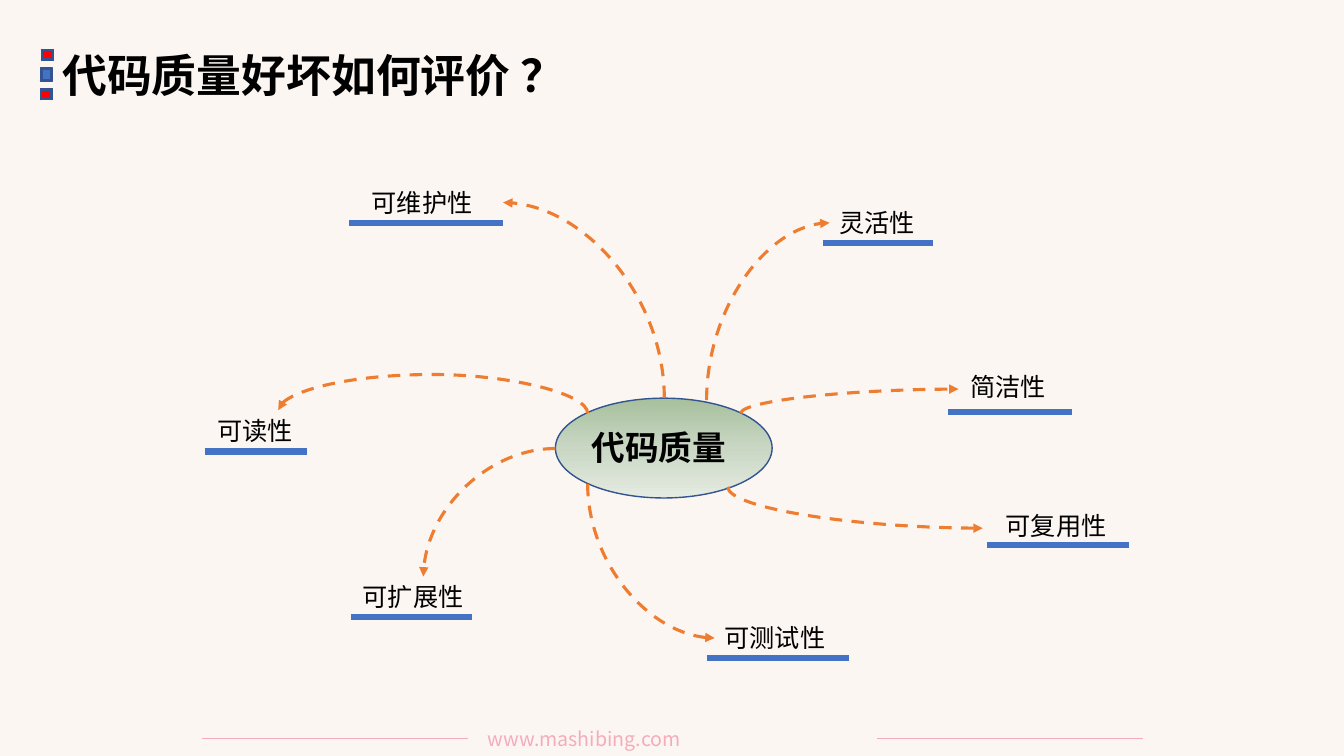
from copy import deepcopy

from pptx import Presentation
from pptx.dml.color import RGBColor
from pptx.enum.dml import MSO_LINE
from pptx.enum.shapes import MSO_CONNECTOR as CONN, MSO_SHAPE as SHAPE
from pptx.enum.text import PP_ALIGN as ALIGN
from pptx.oxml.ns import qn
from pptx.util import Inches, Pt
from lxml.etree import SubElement

COLS, ROWS = 133.33, 75  # square grid cells, a tenth of an inch each
BLACK, BLUE, NAVY, ORANGE, PINK, RED = (
    "000000", "4472C4", "325491", "ED7D31", "F4ACBA", "FF0000")

# text, text column, text row, underline start, underline end, underline drop
LABELS = [
    ("可维护性", 35.9, 18.1, 34.6, 49.9, 4),
    ("可读性", 20.6, 40.7, 20.3, 30.5, 4.1),
    ("可复用性", 98.8, 50.1, 97.9, 112, 4),
    ("可扩展性", 35, 57.2, 34.8, 46.8, 4),
    ("灵活性", 82.3, 20.1, 81.6, 92.6, 4),
    ("简洁性", 95.3, 36.3, 94, 106.3, 4.55),
    ("可测试性", 70.9, 61.2, 70.1, 84.2, 4.1),
]
# start and end of the arrows that leave the ellipse upwards or downwards
UPRIGHT_ARROWS = [
    ((65.9, 39.5), (49.9, 20.1)),
    ((70.1, 39.7), (82.3, 22.1)),
    ((58.3, 48), (70.9, 63.3)),
    ((72.2, 48.3), (97.5, 52.4)),
    ((73.5, 41), (95.1, 38.6)),
]


def rgb(color):
    return RGBColor.from_string(color)


def cells(*counts):
    return [Inches(n / 10) for n in counts]


class Board:
    font = "Noto Sans CJK SC"

    def __init__(self, prs, background):
        self.s = prs.slides.add_slide(prs.slide_layouts[6])
        fill = self.s.background.fill
        fill.solid()
        fill.fore_color.rgb = rgb(background)

    def text(self, text, at, size, color=BLACK, bold=False, align=None):
        tf = self.s.shapes.add_textbox(*cells(*at)).text_frame
        tf.word_wrap = True
        p = tf.paragraphs[0]
        p.alignment = align
        r = p.add_run()
        r.text = text
        r.font.name, r.font.size, r.font.bold = self.font, Pt(size), bold
        r.font.color.rgb = rgb(color)
        SubElement(r.font._element, qn("a:ea"), typeface=self.font)

    def shape(self, kind, at, color=None):
        sp = self.s.shapes.add_shape(kind, *cells(*at))
        sp.shadow.inherit = False
        sp.line.color.rgb = rgb(NAVY)
        sp.line.width = Pt(1)
        if color:
            sp.fill.solid()
            sp.fill.fore_color.rgb = rgb(color)
        return sp

    def gradient_ellipse(self, at, colors):
        """Spread three colours evenly from top to bottom."""
        sp = self.shape(SHAPE.OVAL, at)
        sp.fill.gradient()
        sp.fill.gradient_angle = 270
        stops = sp._element.xpath(".//a:gsLst")[0]
        stops.insert(1, deepcopy(stops[0]))
        for i, (stop, color) in enumerate(zip(sp.fill.gradient_stops, colors)):
            stop.position = i / 2
            stop.color.rgb = rgb(color)

    def line(self, start, end, color, width, kind=CONN.STRAIGHT):
        c = self.s.shapes.add_connector(kind, *cells(*start, *end))
        c.line.color.rgb = rgb(color)
        c.line.width = Pt(width)
        SubElement(c._element.spPr, qn("a:effectLst"))
        return c

    def curved_arrow(self, start, end, upright=True, bend=None):
        """Draw a quarter curve, or an arch whose bend is a share of its rise.

        An upright curve leaves vertically: its ends are turned a quarter
        about the middle, and the rotation turns them back.
        """
        (x1, y1), (x2, y2) = start, end
        if upright:
            mx, my, dx, dy = (x1 + x2) / 2, (y1 + y2) / 2, x2 - x1, y2 - y1
            start = mx + dy / 2, my - dx / 2
            end = mx - dy / 2, my + dx / 2
        c = self.line(start, end, ORANGE, 2.25, CONN.CURVE)
        c.line.dash_style = MSO_LINE.DASH
        SubElement(c.line._get_or_add_ln(), qn("a:tailEnd"), type="triangle")
        spPr = c._element.spPr
        if upright:
            spPr.find(qn("a:xfrm")).set("rot", str(270 * 60000))
        geom = spPr.find(qn("a:prstGeom"))
        if bend is None:
            geom.set("prst", "curvedConnector2")
        else:
            guides = geom.find(qn("a:avLst"))
            SubElement(guides, qn("a:gd"), name="adj1",
                       fmla=f"val {round(bend * 100000)}")


def main():
    prs = Presentation()
    prs.slide_width, prs.slide_height = cells(COLS, ROWS)
    board = Board(prs, "FCF6F3")

    for left in (20, 87):
        board.line((left, 73.3), (left + 26.4, 73.3), PINK, 0.5)
    board.text("www.mashibing.com", (47.4, 71.6, 38.5, 3.4), 14, PINK,
               align=ALIGN.JUSTIFY)

    board.gradient_ellipse((55.1, 39.5, 21.5, 9.9),
                           ("A7C09D", "C9D7C4", "E5EBE2"))
    board.text("代码质量", (57.7, 41.9, 16.9, 5), 24, bold=True)

    for text, col, row, left, right, drop in LABELS:
        board.text(text, (col, row, 14, 4), 18)
        board.line((left, row + drop), (right, row + drop), BLUE, 4.5)

    for start, end in UPRIGHT_ARROWS:
        board.curved_arrow(start, end)
    board.curved_arrow((58.3, 41), (27.6, 40.7), bend=12.83)
    board.curved_arrow((55.1, 44.5), (42, 57.2), upright=False)

    board.text("代码质量好坏如何评价 ？", (5.2, 4.2, 53.5, 6.4), 32, bold=True)
    for left, top, height, color in ((4.1, 4.9, 1.1, RED),
                                     (4, 6.75, 1.3, BLUE),
                                     (4, 8.8, 1.1, RED)):
        board.shape(SHAPE.BEVEL, (left, top, 1.2, height), color)

    prs.save("out.pptx")


if __name__ == "__main__":
    main()
